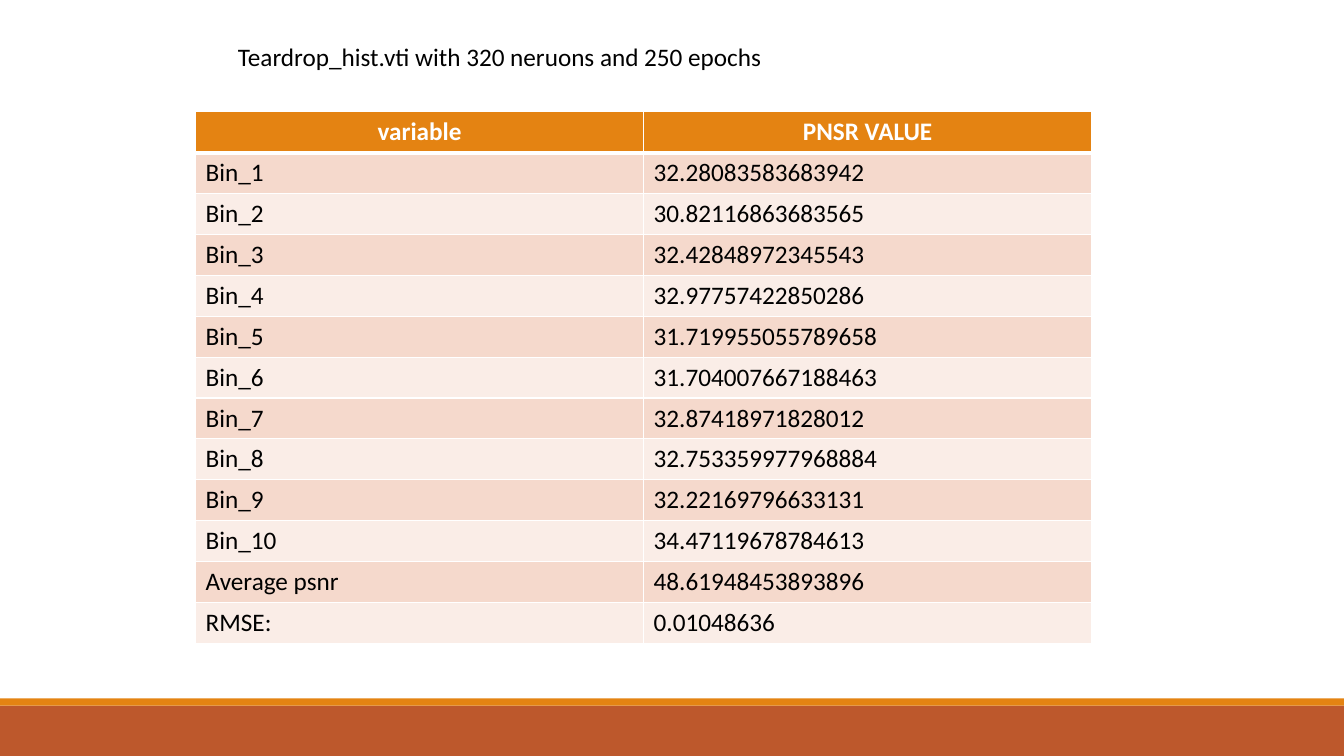
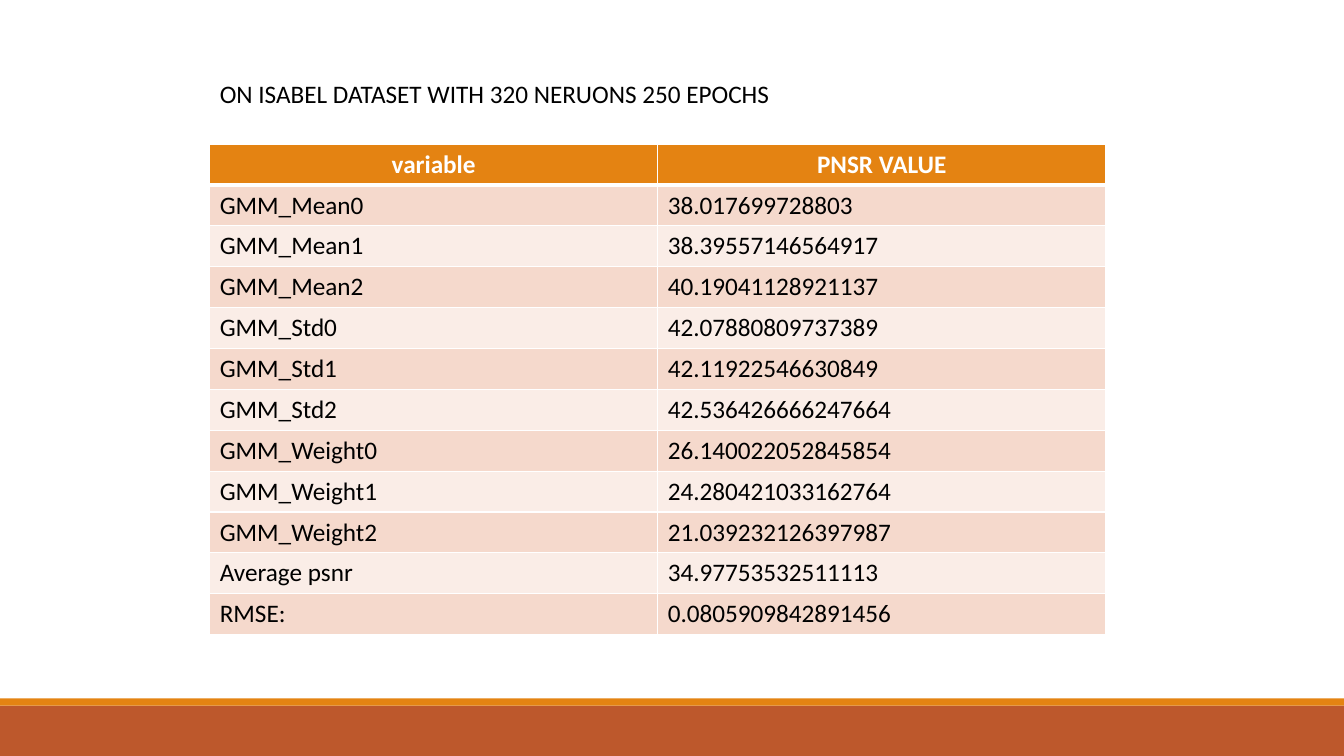
from dataclasses import dataclass

from lxml import etree
from pptx import Presentation
from pptx.dml.color import RGBColor
from pptx.enum.shapes import MSO_SHAPE
from pptx.enum.text import MSO_ANCHOR, MSO_AUTO_SIZE, PP_ALIGN
from pptx.oxml.ns import qn
from pptx.util import Inches, Pt

RECTANGLE = MSO_SHAPE.RECTANGLE
LEFT, CENTER = PP_ALIGN.LEFT, PP_ALIGN.CENTER
TOP = MSO_ANCHOR.TOP
NO_AUTOFIT = MSO_AUTO_SIZE.NONE


@dataclass(frozen=True)
class Theme:
    font: str = "Calibri"
    size: int = 18
    text: str = "000000"
    white: str = "FFFFFF"
    accent: str = "E48312"
    footer: str = "BD582C"
    rows: tuple = ("F5D9CC", "FAEDE7")
    rule: int = 1
    header_rule: int = 3


THEME = Theme()


def write(frame, text, color=THEME.text, bold=False, align=LEFT):
    frame.text = text
    paragraph = frame.paragraphs[0]
    paragraph.alignment = align
    font = paragraph.runs[0].font
    font.name, font.size, font.bold = THEME.font, Pt(THEME.size), bold
    font.color.rgb = RGBColor.from_string(color)


def style_cell(cell, fill, top, bottom):
    properties = cell._tc.get_or_add_tcPr()
    widths = {"a:lnL": THEME.rule, "a:lnR": THEME.rule, "a:lnT": top, "a:lnB": bottom}
    for side, width in widths.items():
        line = etree.SubElement(properties, qn(side), w=str(Pt(width)))
        solid = etree.SubElement(line, qn("a:solidFill"))
        etree.SubElement(solid, qn("a:srgbClr"), val=THEME.white)
    cell.fill.solid()
    cell.fill.fore_color.rgb = RGBColor.from_string(fill)


# Content: title, its left, top and width, the table's left and top, and the results
HEADINGS = ("variable", "PNSR VALUE")
EXPERIMENTS = [
    ("Teardrop_hist.vti with 320 neruons and 250 epochs", (2.26, 0.36, 7.58), (1.94, 1.11), [
        ("Bin_1", "32.28083583683942"),
        ("Bin_2", "30.82116863683565"),
        ("Bin_3", "32.42848972345543"),
        ("Bin_4", "32.97757422850286"),
        ("Bin_5", "31.719955055789658"),
        ("Bin_6", "31.704007667188463"),
        ("Bin_7", "32.87418971828012"),
        ("Bin_8", "32.753359977968884"),
        ("Bin_9", "32.22169796633131"),
        ("Bin_10", "34.47119678784613"),
        ("Average psnr", "48.61948453893896"),
        ("RMSE:", "0.01048636"),
    ]),
    ("ON ISABEL DATASET WITH 320 NERUONS 250 EPOCHS", (2.08, 0.73, 7.75), (2.08, 1.43), [
        ("GMM_Mean0", "38.017699728803"),
        ("GMM_Mean1", "38.39557146564917"),
        ("GMM_Mean2", "40.19041128921137"),
        ("GMM_Std0", "42.07880809737389"),
        ("GMM_Std1", "42.11922546630849"),
        ("GMM_Std2", "42.536426666247664"),
        ("GMM_Weight0", "26.140022052845854"),
        ("GMM_Weight1", "24.280421033162764"),
        ("GMM_Weight2", "21.039232126397987"),
        ("Average psnr", "34.97753532511113"),
        ("RMSE:", "0.0805909842891456"),
    ]),
]

prs = Presentation()
prs.slide_width, prs.slide_height = Inches(13.33), Inches(7.5)
title_only = prs.slide_layouts[5]
slides = [prs.slides.add_slide(title_only) for _ in EXPERIMENTS]

# Footer bands: drawn once, then moved behind everything on the master
master_tree = prs.slide_master.element.cSld.spTree
for position, (top, height, color) in enumerate(
        [(7, 0.5, THEME.footer), (6.93, 0.07, THEME.accent)], start=2):
    band = slides[0].shapes.add_shape(
        RECTANGLE, 0, Inches(top), prs.slide_width, Inches(height))
    band.shadow.inherit = False
    band.fill.solid()
    band.fill.fore_color.rgb = RGBColor.from_string(color)
    band.line.fill.background()
    master_tree.insert(position, band.element)

# Table grid: each column is a third of the slide
column_width = prs.slide_width // 3
row_height = Pt(29.2)

for slide, (heading, title_box, table_corner, results) in zip(slides, EXPERIMENTS):
    # Title
    title = slide.shapes.title
    title.left, title.top, title.width = map(Inches, title_box)
    title.height = Inches(0.4)
    title.text_frame.word_wrap = True
    title.text_frame.auto_size = NO_AUTOFIT
    title.text_frame.vertical_anchor = TOP
    write(title.text_frame, heading)

    # Results table
    records = [HEADINGS, *results]
    left, top = map(Inches, table_corner)
    table = slide.shapes.add_table(
        len(records), len(HEADINGS), left, top,
        column_width * len(HEADINGS), row_height * len(records)).table
    for row, record in enumerate(records):
        table.rows[row].height = row_height
        is_header = row == 0
        fill = THEME.accent if is_header else THEME.rows[(row - 1) % 2]
        rule_above = THEME.header_rule if row == 1 else THEME.rule
        rule_below = THEME.header_rule if is_header else THEME.rule
        for column, value in enumerate(record):
            cell = table.cell(row, column)
            style_cell(cell, fill, rule_above, rule_below)
            write(cell.text_frame, value, bold=is_header,
                  color=THEME.white if is_header else THEME.text,
                  align=CENTER if is_header else LEFT)

prs.save("out.pptx")
